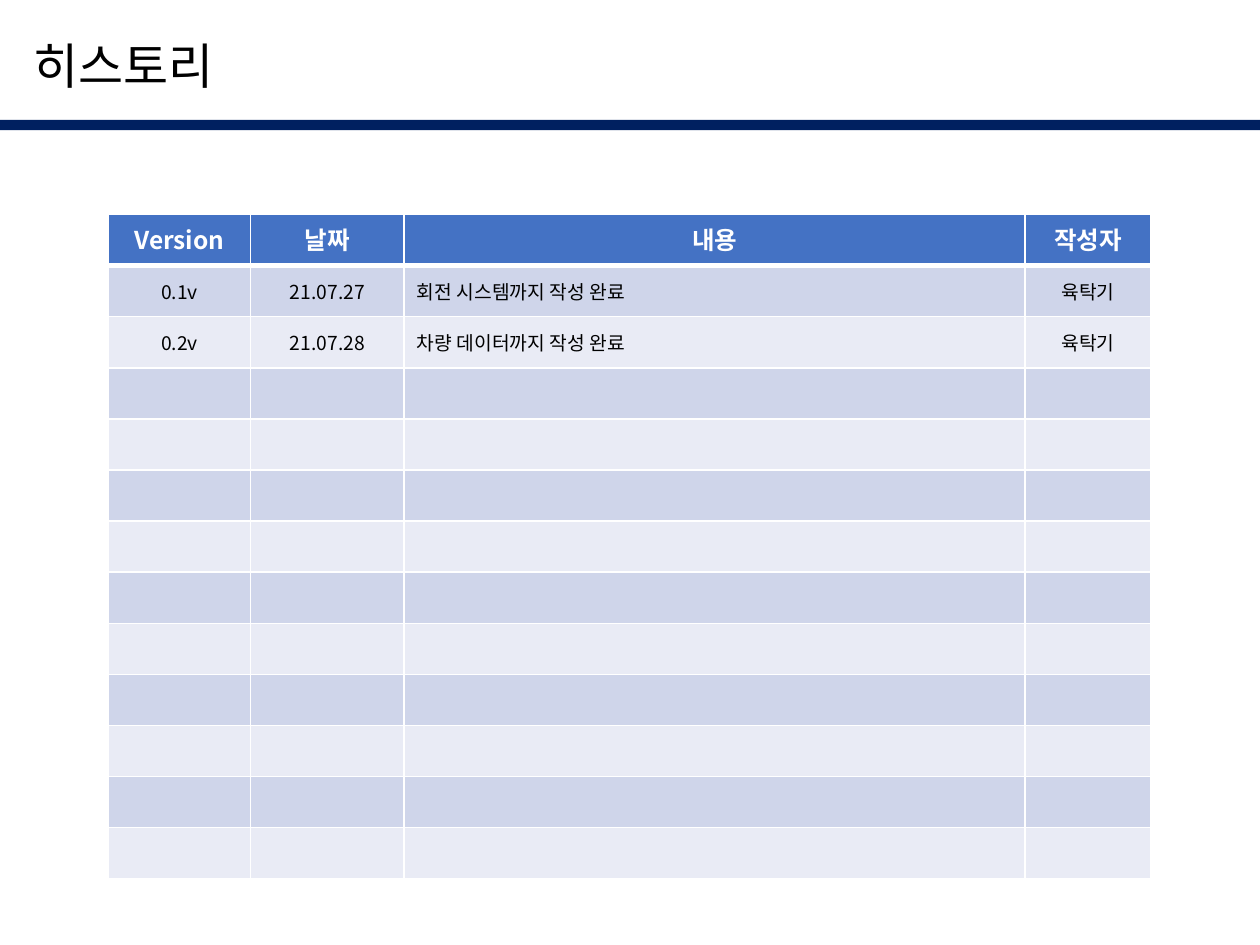
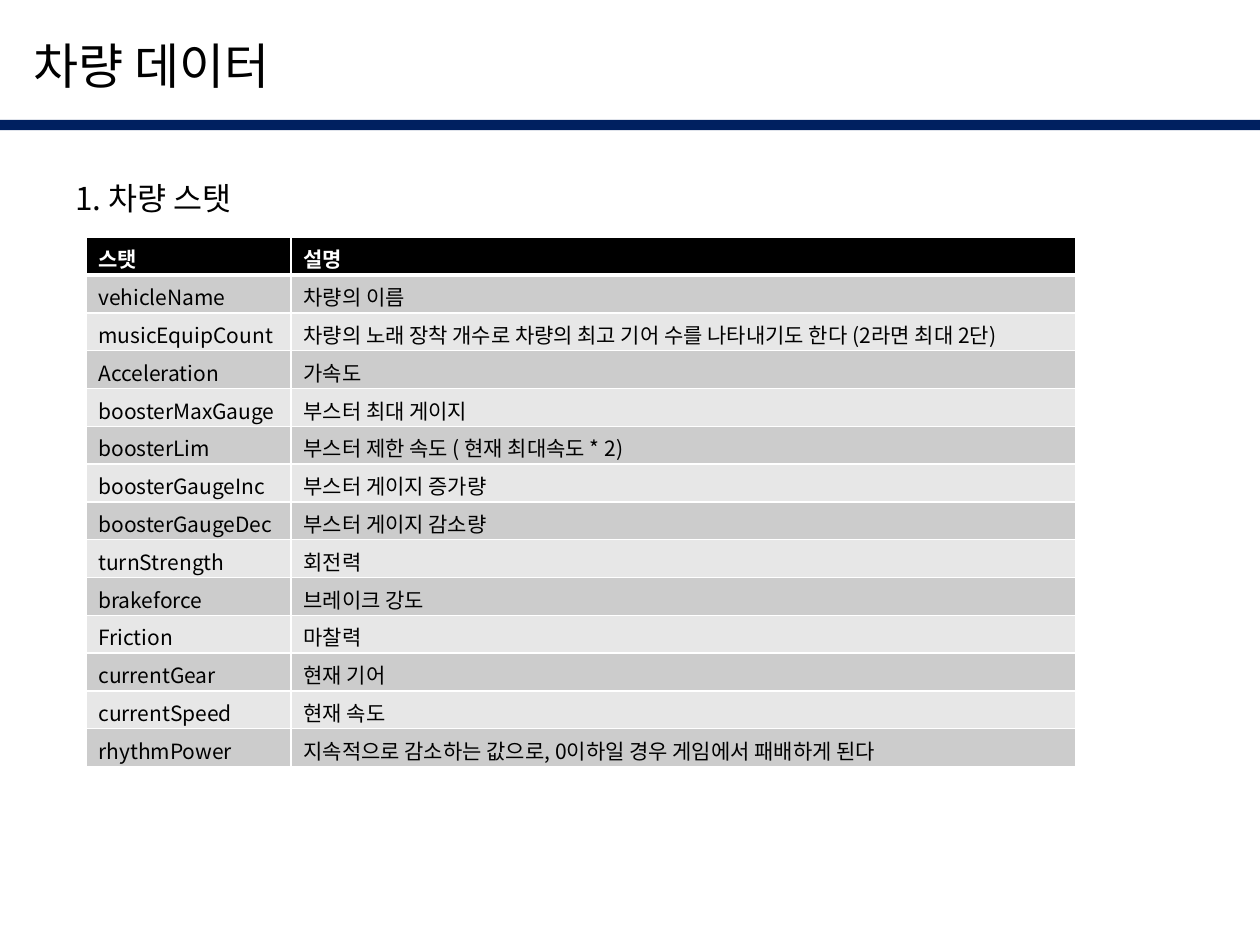
from dataclasses import dataclass
from typing import Any

from lxml import etree
from pptx import Presentation
from pptx.dml.color import RGBColor
from pptx.enum import shapes, text
from pptx.oxml import ns
from pptx.util import Pt

FONT = "Noto Sans CJK KR"
NAVY = RGBColor(0x00, 0x20, 0x60)
BLACK = RGBColor(0x00, 0x00, 0x00)
WHITE = RGBColor(0xFF, 0xFF, 0xFF)
BLUE = RGBColor(0x44, 0x72, 0xC4)
BLUE_BANDS = (RGBColor(0xCF, 0xD5, 0xEA), RGBColor(0xE9, 0xEB, 0xF5))
GRAY_BANDS = (RGBColor(0xCC, 0xCC, 0xCC), RGBColor(0xE7, 0xE7, 0xE7))
CENTER, LEFT = text.PP_ALIGN.CENTER, text.PP_ALIGN.LEFT
TOP, MIDDLE = text.MSO_ANCHOR.TOP, text.MSO_ANCHOR.MIDDLE
THIN, THICK = 1, 3


@dataclass(frozen=True)
class Label:
    """A single-line text box in points."""

    words: str
    left: float
    top: float
    width: float
    height: float
    size: float


@dataclass(frozen=True)
class Grid:
    """A banded table with a coloured header row, in points."""

    left: float
    top: float
    columns: tuple[float, ...]
    row_height: float
    rows: tuple[tuple[str, ...], ...]
    header_fill: RGBColor
    bands: tuple[RGBColor, RGBColor]
    header_size: float
    body_size: float
    header_aligns: tuple[Any, ...]
    body_aligns: tuple[Any, ...]
    body_anchor: Any
    bottom_margin: float


HISTORY = Grid(
    left=62, top=122.6, columns=(81.2, 87.8, 354.8, 72), row_height=29.2,
    rows=(
        ("Version", "날짜", "내용", "작성자"),
        ("0.1v", "21.07.27", "회전 시스템까지 작성 완료", "육탁기"),
        ("0.2v", "21.07.28", "차량 데이터까지 작성 완료", "육탁기"),
    ) + (("",) * 4,) * 10,
    header_fill=BLUE, bands=BLUE_BANDS, header_size=14, body_size=11,
    header_aligns=(CENTER,) * 4, body_aligns=(CENTER, CENTER, LEFT, CENTER),
    body_anchor=MIDDLE, bottom_margin=3.6,
)

VEHICLE_STATS = Grid(
    left=49, top=135.6, columns=(117.2, 448.6), row_height=21.6,
    rows=(
        ("스탯", "설명"),
        ("vehicleName", "차량의 이름"),
        ("musicEquipCount", "차량의 노래 장착 개수로 차량의 최고 기어 수를 나타내기도 한다 (2라면 최대 2단)"),
        ("Acceleration", "가속도"),
        ("boosterMaxGauge", "부스터 최대 게이지"),
        ("boosterLim", "부스터 제한 속도 ( 현재 최대속도 * 2)"),
        ("boosterGaugeInc", "부스터 게이지 증가량"),
        ("boosterGaugeDec", "부스터 게이지 감소량"),
        ("turnStrength", "회전력"),
        ("brakeforce", "브레이크 강도"),
        ("Friction", "마찰력"),
        ("currentGear", "현재 기어"),
        ("currentSpeed", "현재 속도"),
        ("rhythmPower", "지속적으로 감소하는 값으로, 0이하일 경우 게임에서 패배하게 된다"),
    ),
    header_fill=BLACK, bands=GRAY_BANDS, header_size=12, body_size=12,
    header_aligns=(LEFT,) * 2, body_aligns=(LEFT,) * 2,
    body_anchor=TOP, bottom_margin=0,
)


def apply(target: Any, values: dict[str, Any]) -> None:
    """Set every named attribute on the target."""
    for name, value in values.items():
        setattr(target, name, value)


def write(paragraph: Any, words: str, size: float, color: RGBColor, bold: bool = False) -> None:
    """Write one run, or only size the paragraph when it is empty."""
    if not words:
        paragraph._p.get_or_add_endParaRPr().set("sz", str(int(size * 100)))
        return
    run = paragraph.add_run()
    run.text = words
    apply(run.font, {"size": Pt(size), "bold": bold, "name": FONT})
    run.font.color.rgb = color
    etree.SubElement(run._r.get_or_add_rPr(), ns.qn("a:ea")).set("typeface", FONT)


def add_label(slide: Any, label: Label) -> None:
    """Add a text box that fits its text."""
    box = slide.shapes.add_textbox(Pt(label.left), Pt(label.top), Pt(label.width), Pt(label.height))
    apply(box.text_frame, {"word_wrap": False, "auto_size": text.MSO_AUTO_SIZE.SHAPE_TO_FIT_TEXT})
    write(box.text_frame.paragraphs[0], label.words, label.size, BLACK)


def set_borders(cell: Any, top: float, bottom: float) -> None:
    """Draw white lines around a cell."""
    properties = cell._tc.get_or_add_tcPr()
    for side, width in {"L": THIN, "R": THIN, "T": top, "B": bottom}.items():
        line = etree.SubElement(properties, ns.qn(f"a:ln{side}"), w=str(Pt(width)))
        fill = etree.SubElement(line, ns.qn("a:solidFill"))
        etree.SubElement(fill, ns.qn("a:srgbClr"), val=str(WHITE))


def add_grid(slide: Any, grid: Grid) -> None:
    """Add a table with its header and alternating bands."""
    count = len(grid.rows)
    table = slide.shapes.add_table(
        count, len(grid.columns), Pt(grid.left), Pt(grid.top),
        Pt(sum(grid.columns)), Pt(grid.row_height * count),
    ).table
    for column, width in zip(table.columns, grid.columns):
        column.width = Pt(width)
    for index, words_in_row in enumerate(grid.rows):
        table.rows[index].height = Pt(grid.row_height)
        header = index == 0
        aligns = grid.header_aligns if header else grid.body_aligns
        for position, words in enumerate(words_in_row):
            cell = table.cell(index, position)
            set_borders(cell, THICK if index == 1 else THIN, THICK if header else THIN)
            cell.fill.solid()
            cell.fill.fore_color.rgb = grid.header_fill if header else grid.bands[(index - 1) % 2]
            apply(cell, {
                "vertical_anchor": TOP if header else grid.body_anchor,
                "margin_bottom": Pt(grid.bottom_margin),
            })
            paragraph = cell.text_frame.paragraphs[0]
            paragraph.alignment = aligns[position]
            write(paragraph, words, grid.header_size if header else grid.body_size,
                  WHITE if header else BLACK, header)


def add_titled_slide(presentation: Any, title: str, width: float) -> Any:
    """Add a blank slide with the navy band and a title."""
    slide = presentation.slides.add_slide(presentation.slide_layouts[6])
    band = slide.shapes.add_shape(
        shapes.MSO_SHAPE.RECTANGLE, 0, Pt(68.5), presentation.slide_width, Pt(5.8))
    band.shadow.inherit = False
    band.fill.solid()
    band.fill.fore_color.rgb = NAVY
    band.line.fill.background()
    add_label(slide, Label(title, 12.2, 16.6, width, 41, 28))
    return slide


def main() -> None:
    """Build and save the presentation."""
    presentation = Presentation()
    apply(presentation, {"slide_width": Pt(720), "slide_height": Pt(540)})
    add_grid(add_titled_slide(presentation, "히스토리", 126.7), HISTORY)
    vehicle_slide = add_titled_slide(presentation, "차량 데이터", 164.2)
    add_label(vehicle_slide, Label("1. 차량 스탯", 36, 98.6, 111.6, 29, 18))
    add_grid(vehicle_slide, VEHICLE_STATS)
    presentation.save("out.pptx")


if __name__ == "__main__":
    main()
